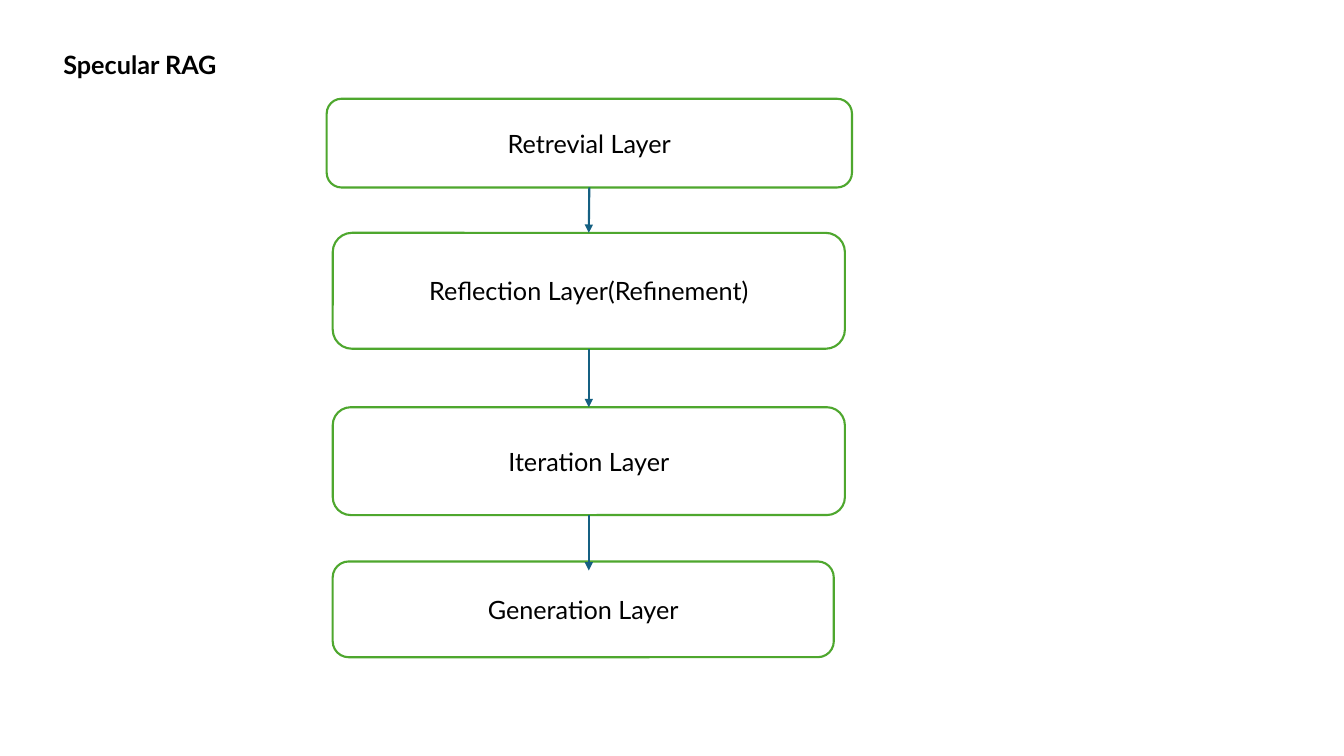
from pptx import Presentation
from pptx.dml.color import RGBColor
from pptx.enum.shapes import MSO_CONNECTOR as Link, MSO_SHAPE as Shape
from pptx.enum.text import MSO_ANCHOR as Anchor, MSO_AUTO_SIZE as Fit, PP_ALIGN as Align
from pptx.oxml.ns import qn
from pptx.util import Inches, Pt
from lxml.etree import SubElement

BLACK = RGBColor(0x00, 0x00, 0x00)
WHITE = RGBColor(0xFF, 0xFF, 0xFF)
GREEN = RGBColor(0x4E, 0xA7, 0x2E)
BLUE = RGBColor(0x15, 0x60, 0x82)
FONT = "Lato"
BOTTOM, TOP = 2, 0

# name, then left, top, width and height within the flow
LAYERS = [
    ("Retrevial Layer", 0, 0, 5.21, 0.88),
    ("Reflection Layer(Refinement)", 0.06, 1.33, 5.08, 1.15),
    ("Iteration Layer", 0.06, 3.06, 5.08, 1.07),
    ("Generation Layer", 0.06, 4.59, 4.97, 0.95),
]
LAST_TIP = 4.68  # the last arrow ends just inside its box


def write(shape, text, bold=False):
    para = shape.text_frame.paragraphs[0]
    para.text = text
    font = para.font
    font.name, font.size, font.bold = FONT, Pt(18), bold
    font.color.rgb = BLACK
    return para


def add_title(slide, left, top, width, height):
    box = slide.shapes.add_textbox(*map(Inches, (left, top, width, height)))
    box.text_frame.word_wrap = True
    box.text_frame.auto_size = Fit.SHAPE_TO_FIT_TEXT
    write(box, "Specular RAG", bold=True)


def add_layer(slide, text, left, top, width, height):
    box = slide.shapes.add_shape(
        Shape.ROUNDED_RECTANGLE, *map(Inches, (left, top, width, height)))
    box.shadow.inherit = False
    box.fill.solid()
    box.fill.fore_color.rgb = WHITE
    box.line.color.rgb = GREEN
    box.line.width = Pt(1.5)
    box.text_frame.word_wrap = True
    box.text_frame.vertical_anchor = Anchor.MIDDLE
    write(box, text).alignment = Align.CENTER
    return box


def add_arrow(slide, start, tip):
    """Draw an arrow down from the start box to the height of tip."""
    mid = start.left + start.width // 2
    arrow = slide.shapes.add_connector(
        Link.STRAIGHT, mid, start.top + start.height, mid, tip)
    arrow.begin_connect(start, BOTTOM)
    arrow.line.color.rgb = BLUE
    arrow.line.width = Pt(1.5)
    SubElement(arrow.line._get_or_add_ln(), qn("a:tailEnd"), type="triangle")
    SubElement(arrow._element.spPr, qn("a:effectLst"))
    return arrow


def add_flow(slide, left, top):
    boxes = [add_layer(slide, text, left + x, top + y, width, height)
             for text, x, y, width, height in LAYERS]
    for start, end in zip(boxes[:-2], boxes[1:-1]):
        add_arrow(slide, start, end.top).end_connect(end, TOP)
    add_arrow(slide, boxes[-2], Inches(top + LAST_TIP))


def main():
    deck = Presentation()
    deck.slide_width, deck.slide_height = Inches(13.33), Inches(7.5)
    slide = deck.slides.add_slide(deck.slide_layouts[6])
    add_flow(slide, 3.24, 0.98)
    add_title(slide, 0.53, 0.44, 2.48, 0.4)
    deck.save("out.pptx")


if __name__ == "__main__":
    main()
